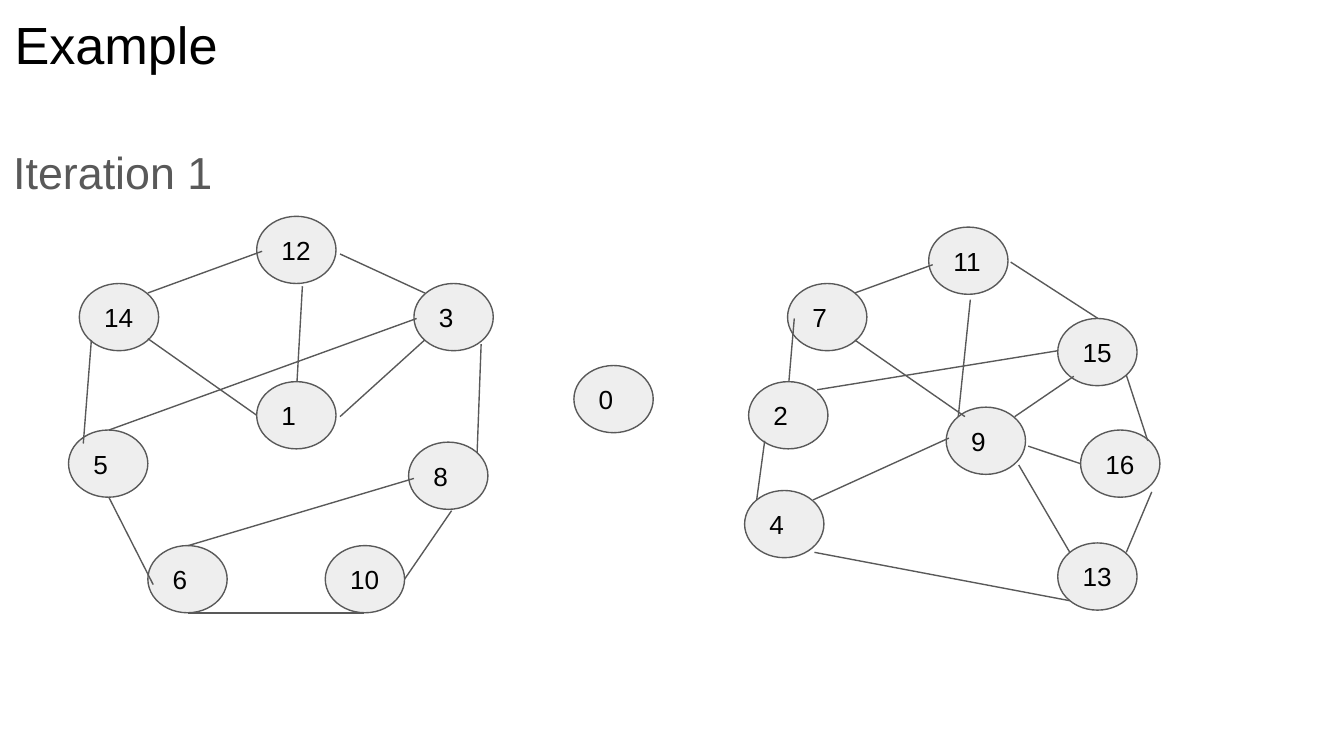
"""Build the graph slide for iteration 1 of the example."""
from lxml.etree import SubElement
from pptx import Presentation
from pptx.dml.color import RGBColor
from pptx.enum.shapes import MSO_CONNECTOR as Connector, MSO_SHAPE as Shape
from pptx.enum.text import MSO_ANCHOR as Anchor, PP_ALIGN as Align
from pptx.oxml.ns import qn
from pptx.util import Inches, Pt

COLORS = {"text": "000000", "muted": "595959", "node": "EEEEEE"}
FONT = "Arial"
NODE_WIDTH, NODE_HEIGHT = 0.59, 0.5
LINE_WIDTH = 0.75

LEFT_NODES = {
    "12": (1.91, 1.61), "14": (0.59, 2.11), "3": (3.08, 2.11), "1": (1.91, 2.84),
    "8": (3.04, 3.29), "5": (0.51, 3.2), "6": (1.1, 4.06), "10": (2.42, 4.06),
}
LEFT_EDGES = [
    (1.95, 1.87, 1.1, 2.18), (2.25, 2.13, 2.21, 2.84), (2.53, 1.89, 3.16, 2.18),
    (3.58, 2.56, 3.55, 3.37), (3.36, 3.8, 3.01, 4.31), (2.71, 4.56, 1.4, 4.56),
    (1.14, 4.35, 0.81, 3.7), (0.62, 3.3, 0.68, 2.53), (1.1, 2.52, 1.91, 3.09),
    (2.53, 3.1, 3.16, 2.53), (3.1, 2.37, 0.81, 3.2), (3.08, 3.56, 1.4, 4.06),
]
RIGHT_NODES = {
    "0": (4.27, 2.72), "11": (6.91, 1.69), "7": (5.86, 2.11), "15": (7.87, 2.37),
    "2": (5.57, 2.84), "4": (5.54, 3.65), "16": (8.04, 3.2), "9": (7.04, 3.03),
    "13": (7.87, 4.04),
}
RIGHT_EDGES = [
    (6.94, 1.97, 6.36, 2.18), (7.52, 1.95, 8.17, 2.37), (8.38, 2.79, 8.54, 3.28),
    (8.57, 3.66, 8.38, 4.11), (5.69, 3.28, 5.63, 3.72), (5.91, 2.37, 5.87, 2.84),
    (6.08, 2.9, 7.87, 2.61), (7.06, 3.26, 6.05, 3.72), (7.58, 3.46, 7.96, 4.11),
    (6.06, 4.11, 7.96, 4.47), (7.65, 3.32, 8.04, 3.45), (7.22, 2.23, 7.13, 3.1),
    (7.99, 2.8, 7.55, 3.1), (7.18, 3.1, 6.36, 2.53),
]


def color(name):
    return RGBColor.from_string(COLORS[name])


def write(box, text, size, tone="text", anchor=Anchor.TOP):
    frame = box.text_frame
    frame.word_wrap = True
    frame.vertical_anchor = anchor
    frame.margin_left = frame.margin_right = Inches(0.1)
    frame.margin_top = frame.margin_bottom = Inches(0.1)
    para = frame.paragraphs[0]
    para.text = text
    para.alignment = Align.LEFT
    para.font.name = FONT
    para.font.size = Pt(size)
    para.font.color.rgb = color(tone)
    return para


def style_line(line):
    line.color.rgb = color("muted")
    line.width = Pt(LINE_WIDTH)


def add_text(page, place, text, size, tone="text"):
    box = page.shapes.add_textbox(*map(Inches, place))
    return write(box, text, size, tone)


def add_node(page, label, left, top):
    place = map(Inches, (left, top, NODE_WIDTH, NODE_HEIGHT))
    node = page.shapes.add_shape(Shape.OVAL, *place)
    node.shadow.inherit = False
    node.fill.solid()
    node.fill.fore_color.rgb = color("node")
    style_line(node.line)
    write(node, label, 14, anchor=Anchor.MIDDLE)


def add_edge(page, ends):
    edge = page.shapes.add_connector(Connector.STRAIGHT, *map(Inches, ends))
    style_line(edge.line)
    SubElement(edge._element.spPr, qn("a:effectLst"))


deck = Presentation()
deck.slide_width = Inches(10)
deck.slide_height = deck.slide_width * 9 // 16
page = deck.slides.add_slide(deck.slide_layouts[6])

add_text(page, (0.01, -0.01, 9.32, 0.63), "Example", 28)
for nodes, edges in ((LEFT_NODES, LEFT_EDGES), (RIGHT_NODES, RIGHT_EDGES)):
    for label, (left, top) in nodes.items():
        add_node(page, label, left, top)
    for ends in edges:
        add_edge(page, ends)

subtitle = add_text(page, (0, 0.92, 2.3, 0.71), "Iteration 1", 24, "muted")
subtitle.line_spacing = 1.15
subtitle.space_after = Pt(16)

deck.save("out.pptx")
